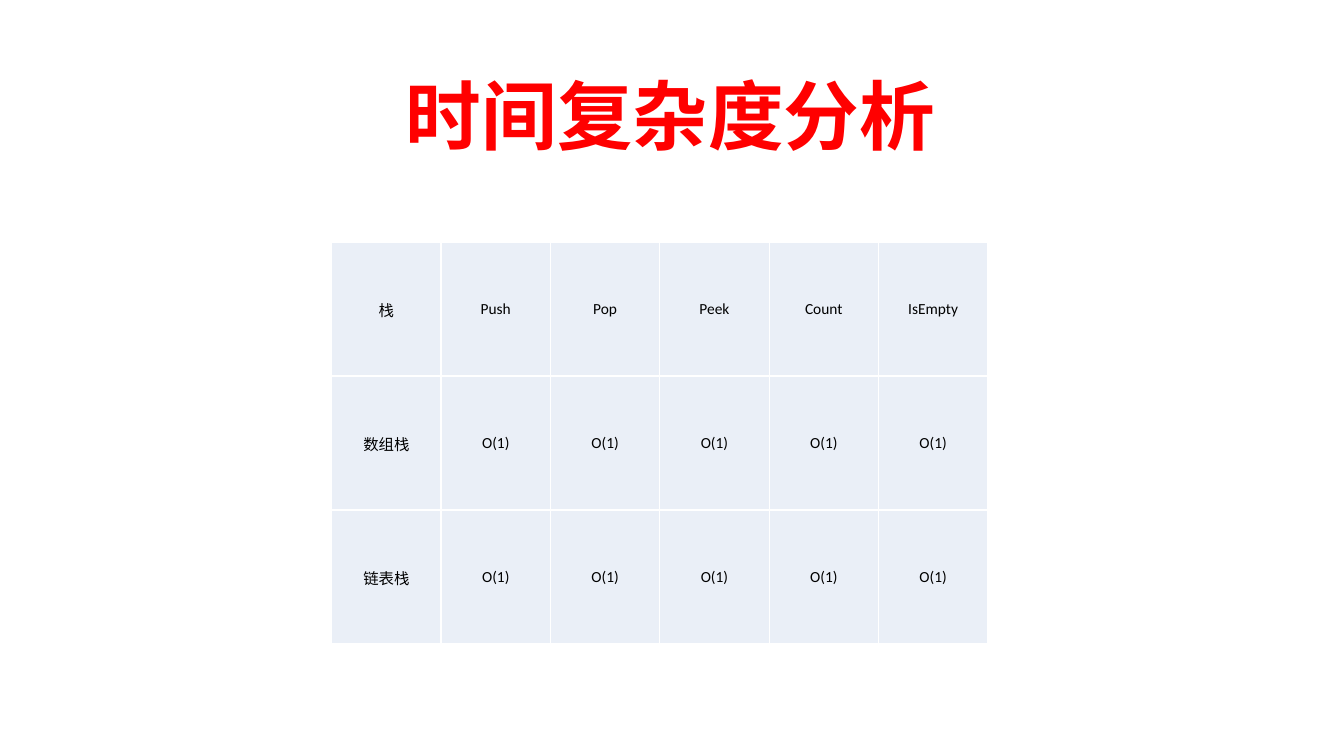
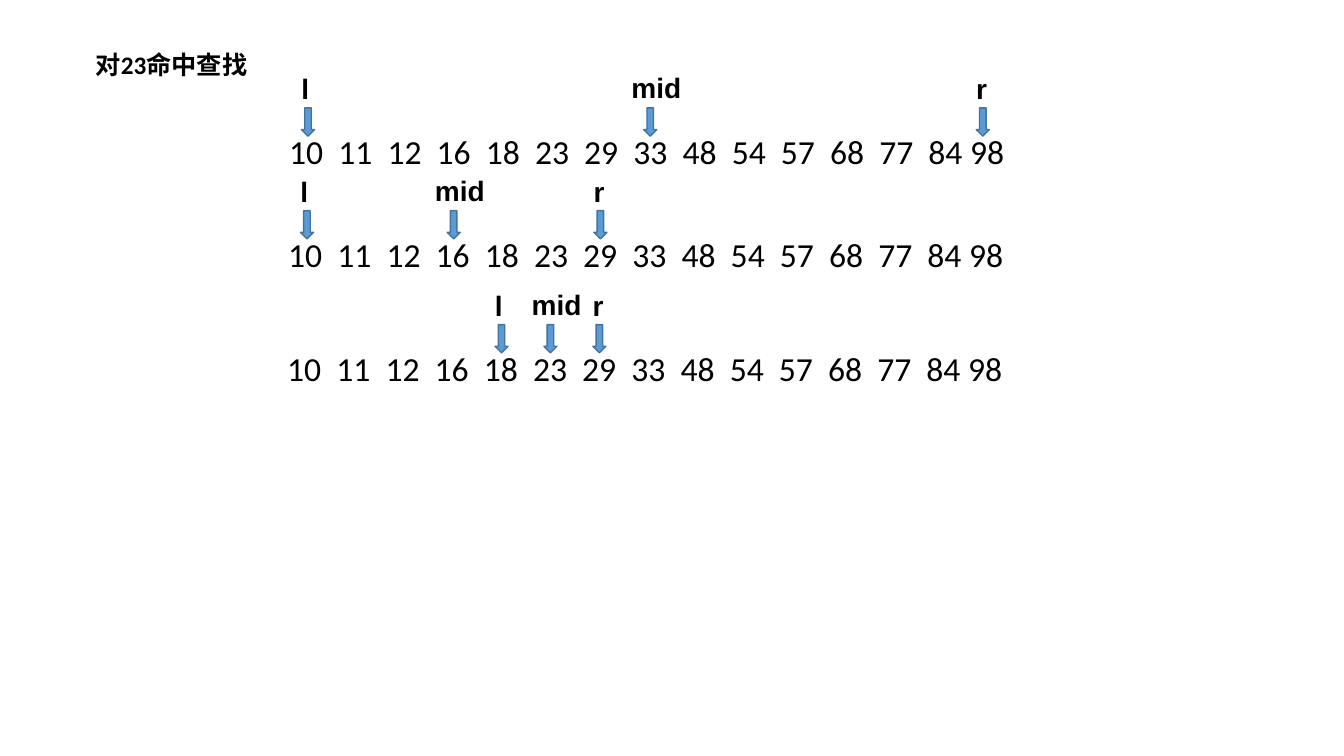
from lxml import etree
from pptx import Presentation, util as u
from pptx.dml.color import RGBColor
from pptx.enum import shapes, text
from pptx.oxml.ns import qn

WIDE, HIGH = 13.33, 7.5
RED = RGBColor(0xFF, 0x00, 0x00)
BLACK = RGBColor(0x00, 0x00, 0x00)
WHITE = RGBColor(0xFF, 0xFF, 0xFF)
PALE = RGBColor(0xEA, 0xEF, 0xF7)
BLUE = RGBColor(0x5B, 0x9B, 0xD5)
EDGE = RGBColor(0x43, 0x73, 0x9E)
BODY, LABEL = "Calibri", "Arial"
LEFT, CENTER = text.PP_ALIGN.LEFT, text.PP_ALIGN.CENTER

COSTS = [["栈", "Push", "Pop", "Peek", "Count", "IsEmpty"],
         ["数组栈"] + ["O(1)"] * 5,
         ["链表栈"] + ["O(1)"] * 5]
NUMS = "10 11 12 16 18 23 29 33 48 54 57 68 77".split() + ["84 98"]
PITCH = 6.34 / 13   # between numbers
STEP = 0.485        # between pointers
LAST = 13.8         # the last number stands closer to its neighbour
# left and top of each row, then the slot of each pointer
STEPS = [(2.77, 1.25, {"l": 0, "r": LAST, "mid": 7}),
         (2.76, 2.27, {"l": 0, "r": 6, "mid": 3}),
         (2.75, 3.40, {"l": 4, "r": 6, "mid": 5})]


def inch(*box):
    return [u.Inches(v) for v in box]


def style(para, size, font=BODY, color=BLACK, bold=False, align=LEFT):
    para.alignment = align
    for run in para.runs:
        run.font.size = u.Pt(size)
        run.font.name = font
        run.font.bold = bold
        run.font.color.rgb = color


def add_title(slide, words, box, size, color=BLACK, align=LEFT):
    title = slide.shapes.title
    title.left, title.top, title.width, title.height = inch(*box)
    frame = title.text_frame
    frame.text = words
    frame.word_wrap = True
    frame.auto_size = text.MSO_AUTO_SIZE.NONE
    frame.vertical_anchor = text.MSO_ANCHOR.TOP
    style(frame.paragraphs[0], size, color=color, bold=True, align=align)


def add_text(group, words, box):
    """Add a text box and return its paragraph."""
    frame = group.add_textbox(*inch(*box)).text_frame
    frame.word_wrap = True
    frame.text = words
    return frame.paragraphs[0]


def add_rules(cell):
    """Draw a thin white line on every side of a cell."""
    props = cell._tc.get_or_add_tcPr()
    for side in "LRTB":
        line = etree.SubElement(props, qn(f"a:ln{side}"), w=str(u.Pt(1)))
        fill = etree.SubElement(line, qn("a:solidFill"))
        etree.SubElement(fill, qn("a:srgbClr"), val=str(WHITE))


def add_grid(slide, rows, box):
    table = slide.shapes.add_table(len(rows), len(rows[0]), *inch(*box)).table
    table.first_row = table.horz_banding = False
    for r, row in enumerate(rows):
        for c, words in enumerate(row):
            cell = table.cell(r, c)
            cell.text = words
            cell.vertical_anchor = text.MSO_ANCHOR.MIDDLE
            cell.margin_left = cell.margin_right = u.Inches(0.01)
            cell.margin_top, cell.margin_bottom = inch(0.01, 0)
            add_rules(cell)
            cell.fill.solid()
            cell.fill.fore_color.rgb = PALE
            style(cell.text_frame.paragraphs[0], 11, align=CENTER)


def add_mark(slide, name, mid, top):
    """Group a down arrow centred on mid with the label above it."""
    group = slide.shapes.add_group_shape().shapes
    arrow = group.add_shape(shapes.MSO_SHAPE.DOWN_ARROW,
                            *inch(mid - 0.07, top, 0.13, 0.28))
    arrow.shadow.inherit = False
    arrow.fill.solid()
    arrow.fill.fore_color.rgb = BLUE
    arrow.line.color.rgb = EDGE
    arrow.line.width = u.Pt(1)
    shift, wide, rise = (0.29, 0.83, 0.42) if name == "mid" else (0.17, 0.29, 0.41)
    para = add_text(group, name, (mid - shift, top - rise, wide, 0.44))
    style(para, 20, LABEL, bold=True)


def add_row(slide, left, top, marks):
    """Place the number row and the pointers above it."""
    para = add_text(slide.shapes, "\t".join(NUMS), (left, top, 7.39, 0.5))
    tabs = etree.SubElement(para._p.get_or_add_pPr(), qn("a:tabLst"))
    for i in range(1, len(NUMS)):
        etree.SubElement(tabs, qn("a:tab"), pos=str(u.Inches(PITCH * i)), algn="l")
    style(para, 24)
    for name, slot in marks.items():
        add_mark(slide, name, left + 0.29 + STEP * slot, top - 0.18)


def cost_slide(slide):
    add_title(slide, "时间复杂度分析", (3, 0.63, 7.3, 1.01), 54, RED, CENTER)
    add_grid(slide, COSTS, (3.29, 2.4, 6.51, 3.99))


def search_slide(slide):
    add_title(slide, "对23命中查找", (0.85, 0.44, 5.16, 0.4), 18)
    for left, top, marks in STEPS:
        add_row(slide, left, top, marks)


def main():
    deck = Presentation()
    deck.slide_width, deck.slide_height = inch(WIDE, HIGH)
    for build in (cost_slide, search_slide):
        build(deck.slides.add_slide(deck.slide_layouts[5]))
    deck.save("out.pptx")


if __name__ == "__main__":
    main()
